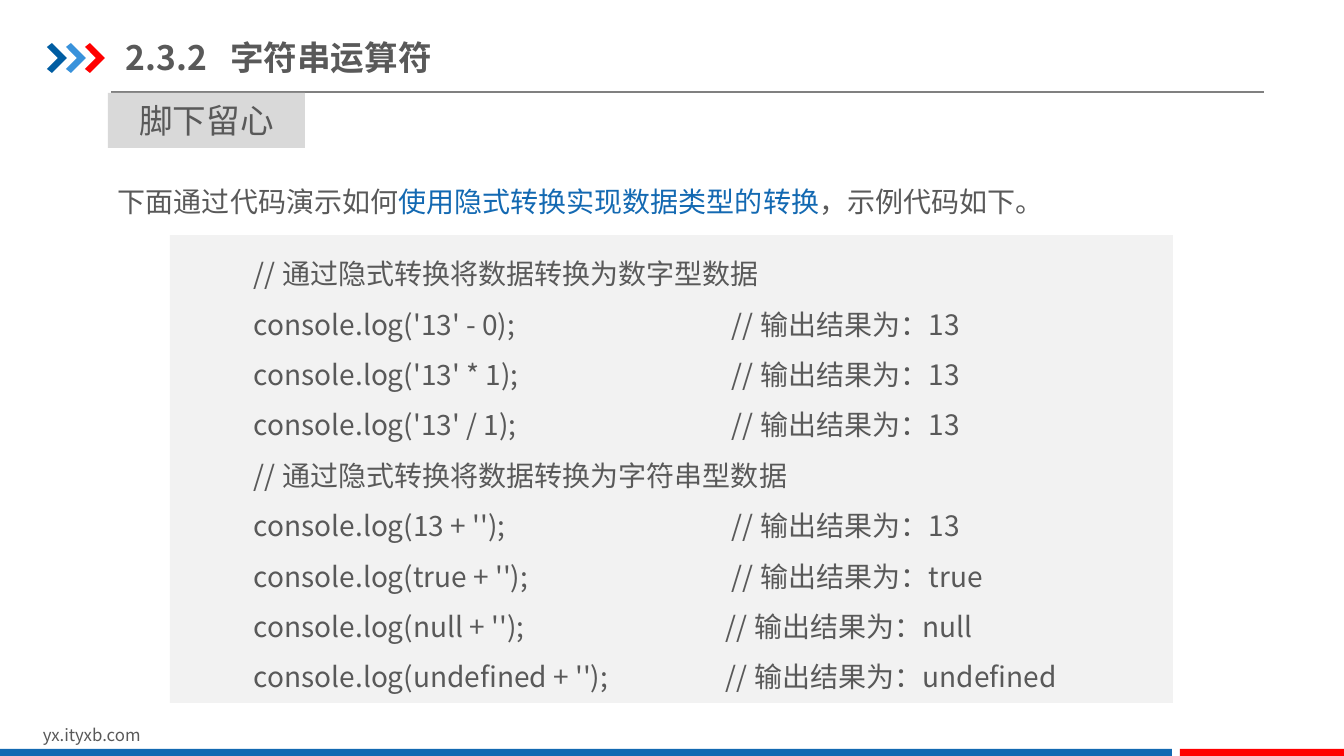
from dataclasses import dataclass
from lxml.etree import SubElement
from pptx import Presentation
from pptx.dml.color import RGBColor
from pptx.enum.shapes import MSO_CONNECTOR, MSO_SHAPE
from pptx.enum.text import MSO_ANCHOR, MSO_AUTO_SIZE, PP_ALIGN
from pptx.oxml.ns import qn
from pptx.util import Pt


@dataclass(frozen=True)
class Theme:
    font: str = "Noto Sans CJK SC"
    ink: str = "595959"
    blue: str = "1369B2"
    navy: str = "005DA2"
    sky: str = "3992DB"
    red: str = "FF0000"
    rule: str = "808080"
    tag: str = "D9D9D9"
    panel: str = "F2F2F2"
    head: int = 24
    body: int = 20
    foot: int = 12


THEME = Theme()
WIDE, HIGH = 1344, 756
SCALE = 12192000 / WIDE
CODE = [
    ("// 通过隐式转换将数据转换为数字型数据", None, 0),
    ("console.log('13' - 0);", "13", 478),
    ("console.log('13' * 1);", "13", 478),
    ("console.log('13' / 1);", "13", 478),
    ("// 通过隐式转换将数据转换为字符串型数据", None, 0),
    ("console.log(13 + '');", "13", 478),
    ("console.log(true + '');", "true", 478),
    ("console.log(null + '');", "null", 472),
    ("console.log(undefined + '');", "undefined", 472),
]


def px(size):
    return round(size * SCALE)


def color(code):
    return RGBColor.from_string(code)


def write(para, text, ink=THEME.ink, size=THEME.body, bold=False,
          tab=0, space=None, align=PP_ALIGN.LEFT):
    para.alignment = align
    if space:
        para.line_spacing = space
    if tab:
        stops = SubElement(para._p.get_or_add_pPr(), qn("a:tabLst"))
        SubElement(stops, qn("a:tab"), pos=str(px(tab)), algn="l")
    run = para.add_run()
    run.text = text
    font = run.font
    font.size, font.bold, font.name = Pt(size), bold, THEME.font
    font.color.rgb = color(ink)
    SubElement(font._element, qn("a:ea"), typeface=THEME.font)


def paint(shape, fill):
    shape.shadow.inherit = False
    shape.fill.solid()
    shape.fill.fore_color.rgb = color(fill)
    shape.line.fill.background()


def block(slide, box, fill):
    shape = slide.shapes.add_shape(MSO_SHAPE.RECTANGLE, *map(px, box))
    paint(shape, fill)
    return shape.text_frame


def label(slide, box):
    frame = slide.shapes.add_textbox(*map(px, box)).text_frame
    frame.word_wrap = True
    return frame


def arrow(slide, left, fill):
    steps = [(5, 43), (20, 58), (5, 73), (0, 69), (11, 58)]
    form = slide.shapes.build_freeform(left, 47, scale=SCALE)
    form.add_line_segments([(left + x, y) for x, y in steps], close=True)
    paint(form.convert_to_shape(), fill)


def rule(slide, left, right, top):
    line = slide.shapes.add_connector(
        MSO_CONNECTOR.STRAIGHT, px(left), px(top), px(right), px(top))
    line.line.color.rgb = color(THEME.rule)
    line.line.width = Pt(0.75)
    SubElement(line._element.spPr, qn("a:effectLst"))


def title(slide):
    shape = slide.shapes.title
    shape.left, shape.top, shape.width, shape.height = map(
        px, (126, 29, 430, 56))
    frame = shape.text_frame
    frame.auto_size = MSO_AUTO_SIZE.NONE
    frame.vertical_anchor = MSO_ANCHOR.MIDDLE
    frame.margin_left = frame.margin_right = 0
    write(frame.paragraphs[0], "2.3.2\t字符串运算符",
          size=THEME.head, bold=True, tab=104)


def intro(slide):
    para = label(slide, (108, 163, 936, 62)).paragraphs[0]
    write(para, "下面通过代码演示如何", space=1.5)
    write(para, "使用隐式转换实现数据类型的转换", ink=THEME.blue)
    write(para, "，示例代码如下。")


def code(slide):
    frame = block(slide, (170, 235, 1003, 468), THEME.panel)
    frame.vertical_anchor = MSO_ANCHOR.TOP
    frame.margin_left = px(84)
    for row, (text, value, tab) in enumerate(CODE):
        para = frame.add_paragraph() if row else frame.paragraphs[0]
        if value:
            text += f"\t// 输出结果为：{value}"
        write(para, text, tab=tab, space=1.5)


def main():
    deck = Presentation()
    deck.slide_width, deck.slide_height = px(WIDE), px(HIGH)
    slide = deck.slides.add_slide(deck.slide_layouts[5])
    rule(slide, 111, 1264, 92)
    for step, fill in enumerate((THEME.navy, THEME.sky, THEME.red)):
        arrow(slide, 47 + 19 * step, fill)
    foot = label(slide, (33, 720, 321, 30))
    write(foot.paragraphs[0], "yx.ityxb.com", size=THEME.foot)
    block(slide, (0, 749, 1172, 7), THEME.blue)
    block(slide, (1180, 749, 164, 7), THEME.red)
    title(slide)
    intro(slide)
    code(slide)
    tag = block(slide, (108, 93, 197, 55), THEME.tag)
    tag.vertical_anchor = MSO_ANCHOR.MIDDLE
    write(tag.paragraphs[0], "脚下留心", size=THEME.head,
          align=PP_ALIGN.CENTER)
    deck.save("out.pptx")


if __name__ == "__main__":
    main()
